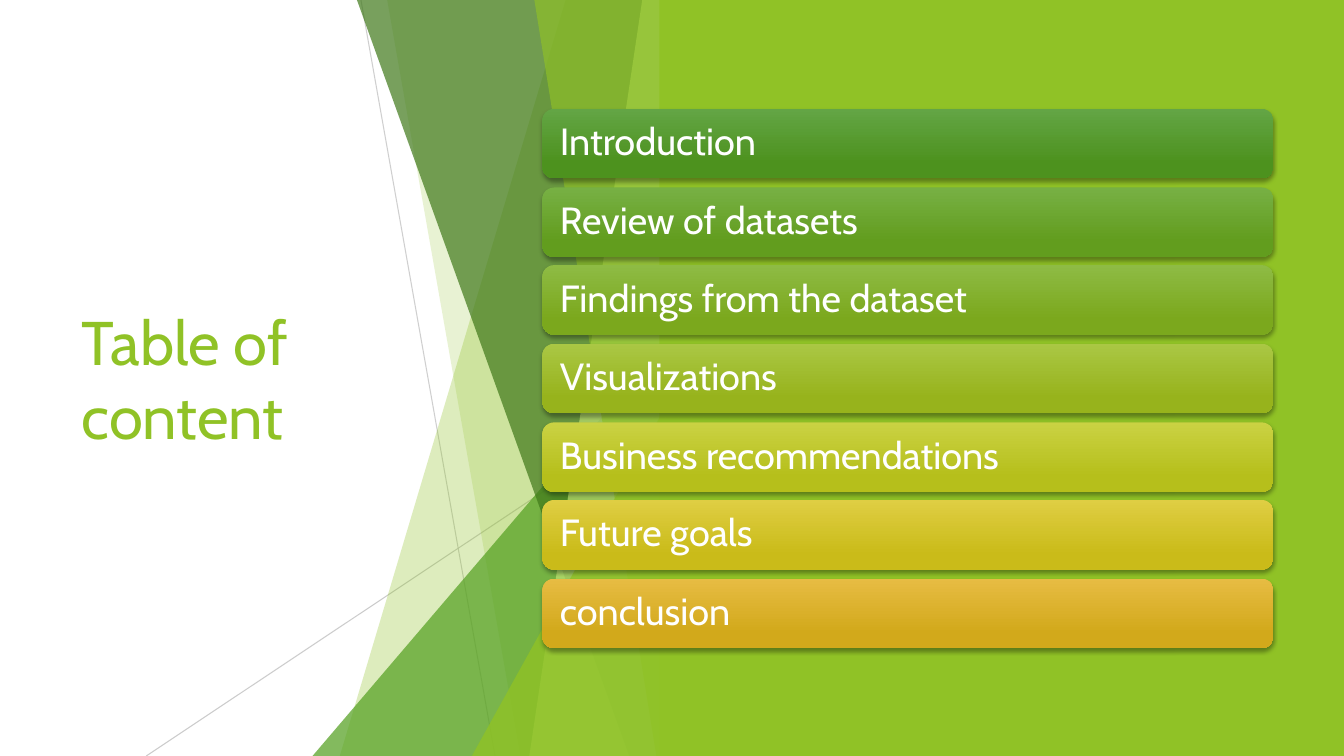
from lxml import etree
from pptx import Presentation
from pptx.dml.color import RGBColor
from pptx.enum.shapes import MSO_CONNECTOR, MSO_SHAPE
from pptx.enum.text import MSO_ANCHOR, PP_ALIGN
from pptx.oxml.ns import qn
from pptx.util import Pt

PX = 9144
WIDE, HIGH = 1333, 750
LINE = MSO_CONNECTOR.STRAIGHT
BOX, ROUND, WEDGE = MSO_SHAPE.RECTANGLE, MSO_SHAPE.ROUNDED_RECTANGLE, MSO_SHAPE.ISOSCELES_TRIANGLE
MIDDLE, LEFT = MSO_ANCHOR.MIDDLE, PP_ALIGN.LEFT

THEME = {
    "font": "Cabin",
    "title": 44,
    "item": 27,
    "lime": "90C226",
    "leaf": "54A021",
    "moss": "3F7819",
    "pale": "C0E474",
    "gray": "BFBFBF",
    "white": "FFFFFF",
    "black": "000000",
}


def write(shape, text, size, tone, inset=10, space=1.0):
    frame = shape.text_frame
    frame.word_wrap = True
    frame.vertical_anchor = MIDDLE
    frame.margin_left = frame.margin_right = inset * PX
    frame.margin_top = frame.margin_bottom = 5 * PX
    para = frame.paragraphs[0]
    para.alignment = LEFT
    para.line_spacing = space
    run = para.add_run()
    run.text = text
    run.font.name = THEME["font"]
    run.font.size = Pt(size)
    run.font.color.rgb = RGBColor.from_string(tone)


def paint(shape, fill, tone, alpha=100):
    fill.solid()
    fill.fore_color.rgb = RGBColor.from_string(THEME[tone])
    for color in shape.element.spPr.iter(qn("a:srgbClr")):
        etree.SubElement(color, qn("a:alpha"), val=str(alpha * 1000))


deck = Presentation()
deck.slide_width, deck.slide_height = WIDE * PX, HIGH * PX
slide = deck.slides.add_slide(deck.slide_layouts[6])
shapes = slide.shapes

title = shapes.add_textbox(71 * PX, 151 * PX, 388 * PX, 448 * PX)
write(title, "Table of content", THEME["title"], THEME["lime"])

for head, top, foot, alpha in [(358, 0, 491, 75), (666, 403, 145, 80)]:
    ray = shapes.add_connector(LINE, head * PX, top * PX, foot * PX, HIGH * PX)
    ray.line.width = Pt(0.75)
    paint(ray, ray.line.fill, "gray", alpha)
    etree.SubElement(ray.element.spPr, qn("a:effectLst"))

EDGE = 666
facets = [
    (561, 0, 337, "lime", 30),
    (384, 0, 516, "lime", 20),
    (EDGE, 333, 310, "leaf", 72),
    (354, 0, 624, "moss", 70),
    (637, 0, 525, "pale", 70),
    (530, 0, 651, "lime", 65),
    (EDGE, 393, 468, "lime", 80),
]
for head, top, foot, tone, alpha in facets:
    if head == EDGE:
        facet = shapes.add_shape(WEDGE, foot * PX, top * PX, (EDGE - foot) * PX, (HIGH - top) * PX)
        facet.adjustments[0] = 1
    else:
        path = shapes.build_freeform(head, top, scale=PX)
        path.add_line_segments([(EDGE, top), (EDGE, HIGH), (foot, HIGH)], close=True)
        facet = path.convert_to_shape()
    paint(facet, facet.fill, tone, alpha)
    facet.line.fill.background()
    facet.shadow.inherit = False

panel = shapes.add_shape(BOX, 654 * PX, 0, (WIDE - 654) * PX, HIGH * PX)
paint(panel, panel.fill, "lime")
panel.line.fill.background()
panel.shadow.inherit = False

items = [
    ("Introduction", "63A545", "4D921E"),
    ("Review of datasets", "77B044", "629D1E"),
    ("Findings from the dataset", "8EBB44", "7BA81D"),
    ("Visualizations", "AAC744", "97B31C"),
    ("Business recommendations", "CAD243", "B6BF1B"),
    ("Future goals", "DFCE43", "CABB19"),
    ("conclusion", "E7BC43", "D2A91B"),
]
FIRST, LAST = 108, 574
for row, (text, light, dark) in enumerate(items):
    top = FIRST + round(row * (LAST - FIRST) / (len(items) - 1))
    bar = shapes.add_shape(ROUND, 538 * PX, top * PX, 725 * PX, 69 * PX)
    bar.fill.gradient()
    bar.fill.gradient_angle = 270
    for stop, place, tone in zip(bar.fill.gradient_stops, (0, 0.78), (light, dark)):
        stop.position = place
        stop.color.rgb = RGBColor.from_string(tone)
    bar.line.fill.background()
    bar.shadow.inherit = False
    glow = etree.SubElement(
        bar.element.spPr.find(qn("a:effectLst")), qn("a:outerShdw"),
        blurRad=str(Pt(3)), dist=str(Pt(2)), dir="5400000", rotWithShape="0",
    )
    color = etree.SubElement(glow, qn("a:srgbClr"), val=THEME["black"])
    etree.SubElement(color, qn("a:alpha"), val="35000")
    write(bar, text, THEME["item"], THEME["white"], inset=14, space=0.9)

deck.save("out.pptx")
